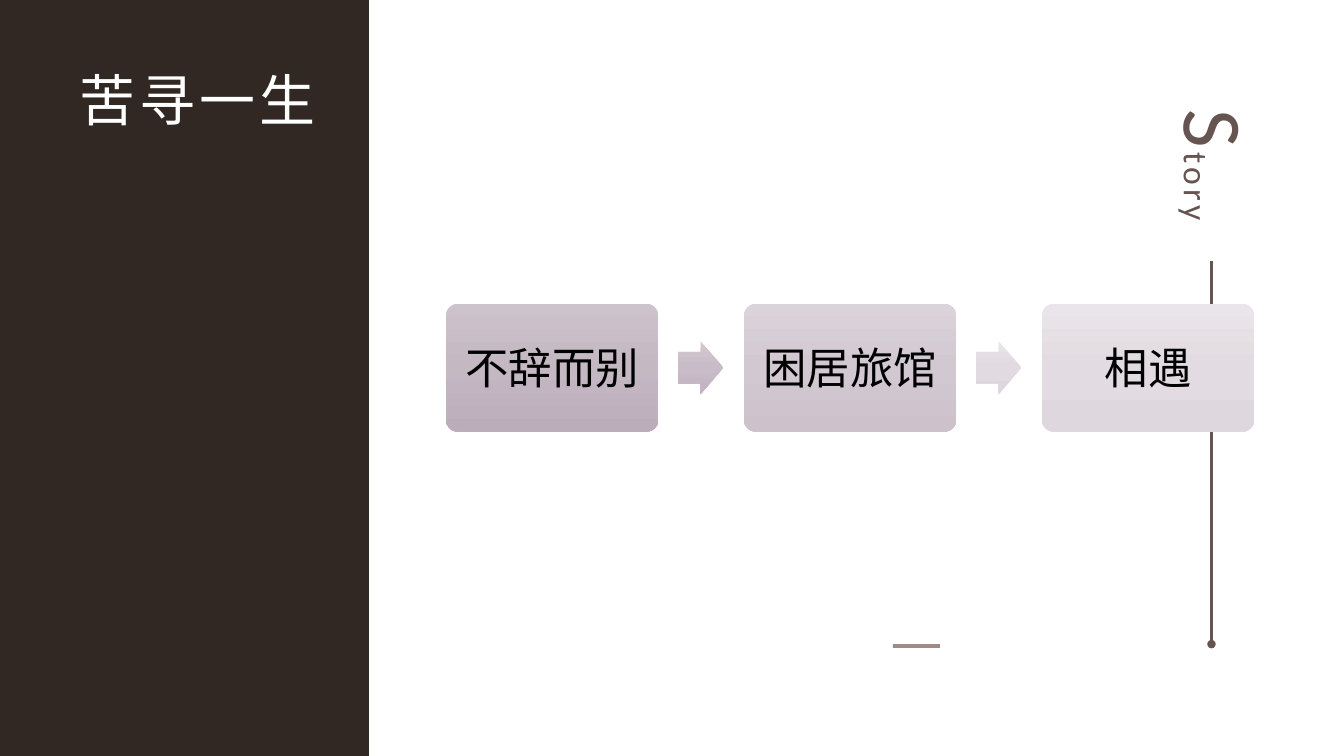
from copy import deepcopy
from dataclasses import dataclass

from pptx import Presentation
from pptx.dml.color import RGBColor
from pptx.enum.shapes import MSO_CONNECTOR, MSO_SHAPE
from pptx.enum.text import MSO_ANCHOR, MSO_AUTO_SIZE, PP_ALIGN
from pptx.oxml.ns import qn
from pptx.util import Cm, Pt

RECT = MSO_SHAPE.RECTANGLE
ROUNDED = MSO_SHAPE.ROUNDED_RECTANGLE
ARROW = MSO_SHAPE.RIGHT_ARROW
STRAIGHT = MSO_CONNECTOR.STRAIGHT
CENTER = PP_ALIGN.CENTER
MIDDLE = MSO_ANCHOR.MIDDLE
GROW = MSO_AUTO_SIZE.SHAPE_TO_FIT_TEXT


@dataclass(frozen=True)
class Theme:
    latin: str = "Calibri"
    chinese: str = "Noto Sans CJK SC"
    panel: str = "312824"
    accent: str = "65544F"
    dash: str = "9F8B85"
    light: str = "FFFFFF"
    dark: str = "000000"
    title_size: int = 40
    initial_size: int = 60
    story_size: int = 24
    step_size: int = 31
    spacing: int = 3
    line_width: int = 2


class SlideBuilder:
    def __init__(self, slide, theme):
        self.slide = slide
        self.theme = theme

    def shape(self, kind, left, top, width, height):
        shape = self.slide.shapes.add_shape(
            kind, Cm(left), Cm(top), Cm(width), Cm(height))
        shape.shadow.inherit = False
        shape.line.fill.background()
        return shape

    def bar(self, left, top, width, height, color):
        bar = self.shape(RECT, left, top, width, height)
        bar.fill.solid()
        bar.fill.fore_color.rgb = RGBColor.from_string(color)

    def gradient_shape(self, kind, left, top, width, height, colors, adjustments):
        shape = self.shape(kind, left, top, width, height)
        for index, value in enumerate(adjustments):
            shape.adjustments[index] = value
        shape.fill.gradient()
        shape.fill.gradient_angle = 270  # top to bottom
        # The default gradient has two stops; add a middle one
        stops = shape.element.spPr.find(qn("a:gradFill")).find(qn("a:gsLst"))
        stops.append(deepcopy(stops[0]))
        for index, (stop, color) in enumerate(zip(shape.fill.gradient_stops, colors)):
            stop.position = index / 2
            stop.color.rgb = RGBColor.from_string(color)
        return shape

    def style_run(self, run, size, color, font, spacing=0):
        run.font.size = Pt(size)
        run.font.color.rgb = RGBColor.from_string(color)
        run.font.name = font
        properties = run.font._element
        east_asian = properties.makeelement(
            qn("a:ea"), {"typeface": self.theme.chinese})
        properties.find(qn("a:latin")).addnext(east_asian)
        if spacing:
            properties.set("spc", str(spacing * 100))

    def text_box(self, left, top, width, height, parts, color, font, vertical=False):
        box = self.slide.shapes.add_textbox(
            Cm(left), Cm(top), Cm(width), Cm(height))
        frame = box.text_frame
        frame.word_wrap = False
        frame.auto_size = GROW
        if vertical:
            frame._txBody.bodyPr.set("vert", "eaVert")
        for text, size in parts:
            run = frame.paragraphs[0].add_run()
            run.text = text
            self.style_run(run, size, color, font, self.theme.spacing)

    def step(self, left, top, width, height, text, colors):
        box = self.gradient_shape(ROUNDED, left, top, width, height, colors, [0.1])
        frame = box.text_frame
        frame.word_wrap = False
        frame.vertical_anchor = MIDDLE
        frame.text = text
        paragraph = frame.paragraphs[0]
        paragraph.alignment = CENTER
        self.style_run(paragraph.runs[0], self.theme.step_size,
                       self.theme.dark, self.theme.latin)

    def dotted_end_line(self, x, top, bottom):
        line = self.slide.shapes.add_connector(
            STRAIGHT, Cm(x), Cm(top), Cm(x), Cm(bottom))
        line.line.color.rgb = RGBColor.from_string(self.theme.accent)
        line.line.width = Pt(self.theme.line_width)
        outline = line.line._get_or_add_ln()
        outline.append(outline.makeelement(qn("a:tailEnd"), {"type": "oval"}))
        properties = line.element.spPr
        properties.append(properties.makeelement(qn("a:effectLst"), {}))


STEPS = [
    ("不辞而别", ("CDC3CC", "C4B8C3", "BCADBB")),
    ("困居旅馆", ("DBD3DA", "D2C8D2", "CDC1CC")),
    ("相遇", ("EAE5EA", "E2DBE1", "DFD7DE")),
]
ARROW_COLORS = [
    ("D2C7D1", "C9BCC8", "C2B2C1"),
    ("E9E4E9", "E1DAE1", "DED5DD"),
]
STEP_LEFT, STEP_TOP, STEP_WIDTH, STEP_HEIGHT = 11.23, 7.65, 5.37, 3.23
STEP_PITCH = 7.51
ARROW_OFFSET, ARROW_WIDTH, ARROW_HEIGHT = 5.86, 1.14, 1.32


def main():
    deck = Presentation()
    deck.slide_width, deck.slide_height = Cm(33.87), Cm(19.05)
    theme = Theme()
    builder = SlideBuilder(deck.slides.add_slide(deck.slide_layouts[6]), theme)

    # Side panel
    builder.bar(0, 0, 9.3, 19.05, theme.panel)

    # Vertical heading with its line, and the small dash
    builder.text_box(29.01, 2.51, 3.07, 3.23,
                     [("S", theme.initial_size), ("tory", theme.story_size)],
                     theme.accent, theme.latin, vertical=True)
    builder.bar(22.5, 16.23, 1.19, 0.1, theme.dash)
    builder.dotted_end_line(30.53, 6.58, 16.23)

    # Title
    builder.text_box(1.75, 1.52, 6.58, 1.96, [("苦寻一生", theme.title_size)],
                     theme.light, theme.chinese)

    # Process steps and the arrows between them
    for index, (text, colors) in enumerate(STEPS):
        builder.step(STEP_LEFT + index * STEP_PITCH, STEP_TOP,
                     STEP_WIDTH, STEP_HEIGHT, text, colors)
    arrow_top = STEP_TOP + (STEP_HEIGHT - ARROW_HEIGHT) / 2
    for index, colors in enumerate(ARROW_COLORS):
        builder.gradient_shape(
            ARROW, STEP_LEFT + index * STEP_PITCH + ARROW_OFFSET, arrow_top,
            ARROW_WIDTH, ARROW_HEIGHT, colors, [0.6, 0.5])

    deck.save("out.pptx")


if __name__ == "__main__":
    main()
